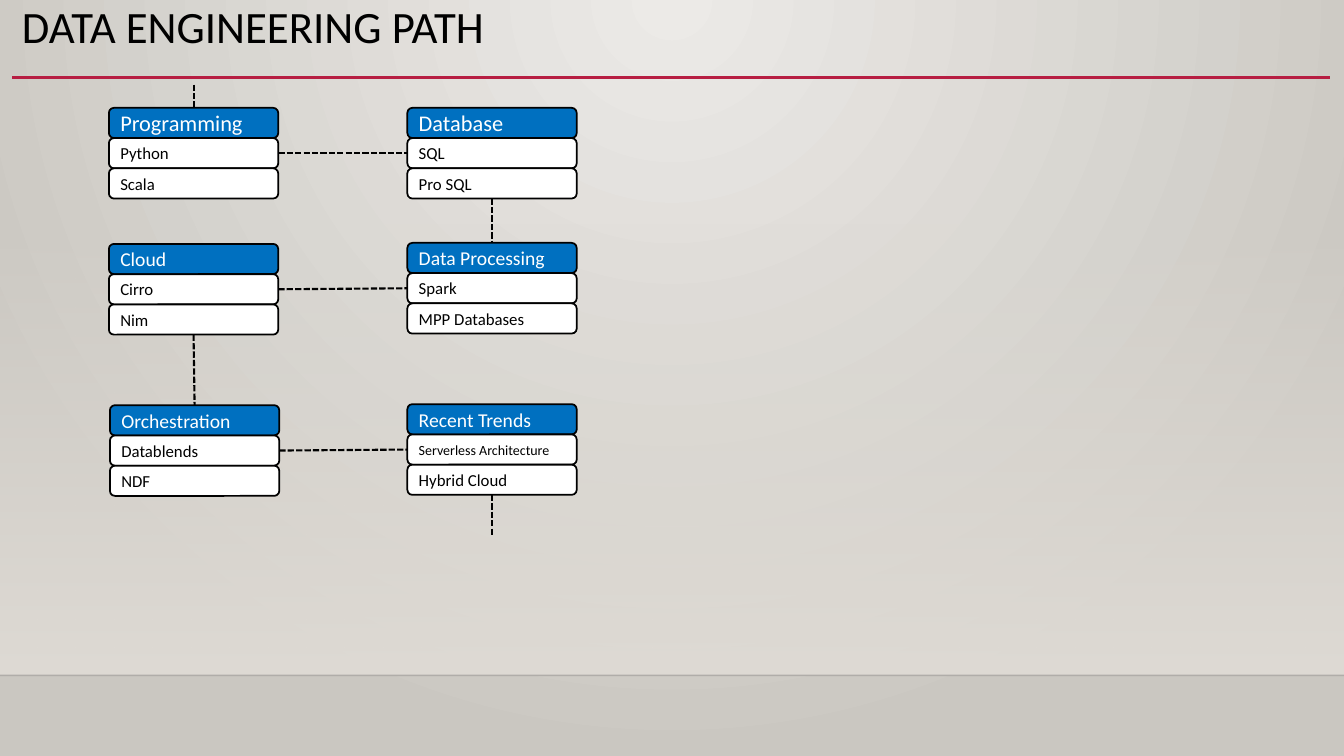
from lxml import etree
from pptx import Presentation
from pptx import util as u
from pptx.dml import color
from pptx.enum import dml, shapes, text
from pptx.oxml import ns

WIDE, HIGH = 13.33, 7.5
CARD, ROW = 1.68, 0.3
FLOOR = 6.7
BLACK, WHITE, BLUE, RED, SAND = "000000", "FFFFFF", "0070C0", "B71E42", "DFDBD5"
TITLE = "DATA ENGINEERING PATH"
CARDS = {
    "code": (1.08, 1.07, [("Programming", 16), ("Python", 12), ("Scala", 12)]),
    "base": (4.04, 1.07, [("Database", 16), ("SQL", 12), ("Pro SQL", 12)]),
    "cloud": (1.08, 2.42, [("Cloud", 14), ("Cirro", 12), ("Nim", 12)]),
    "trend": (4.04, 4.01, [("Recent Trends", 14), ("Serverless Architecture", 10),
                           ("Hybrid Cloud", 12)]),
    "flow": (1.09, 4.02, [("Orchestration", 14), ("Datablends", 12), ("NDF", 12)]),
    "work": (4.04, 2.41, [("Data Processing", 14), ("Spark", 12), ("MPP Databases", 12)]),
}
ACROSS = [("code", "base"), ("cloud", "work"), ("flow", "trend")]
DOWN = [("base", "work"), ("cloud", "flow")]
ENTRY, EXIT = 0.84, 5.32


def rgb(code):
    return color.RGBColor.from_string(code)


def sub(node, tag, **attrs):
    return etree.SubElement(node, ns.qn("a:" + tag), attrs)


def blend(node, stops):
    for child in list(node):
        node.remove(child)
    steps = sub(node, "gsLst")
    for place, code, alpha in stops:
        tint = sub(sub(steps, "gs", pos=str(place * 1000)), "srgbClr", val=code)
        if alpha < 100:
            sub(tint, "alpha", val=str(alpha * 1000))


def line(x1, y1, x2, y2, code, size, dash=None):
    rule = slide.shapes.add_connector(
        shapes.MSO_CONNECTOR.STRAIGHT, *map(u.Inches, (x1, y1, x2, y2)))
    rule.line.color.rgb = rgb(code)
    rule.line.width = u.Pt(size)
    if dash:
        rule.line.dash_style = dash
    sub(rule.element.spPr, "effectLst")
    return rule


def link(x1, y1, x2, y2):
    line(x1, y1, x2, y2, BLACK, 1.5, dml.MSO_LINE.SQUARE_DOT)


def write(frame, words, size, code):
    para = frame.paragraphs[0]
    para.alignment = text.PP_ALIGN.LEFT
    run = para.add_run()
    run.text = words
    run.font.size = u.Pt(size)
    run.font.name = "Calibri"
    run.font.color.rgb = rgb(code)
    return para


def card(left, top, rows):
    group = slide.shapes.add_group_shape()
    for i, (words, size) in enumerate(rows):
        box = group.shapes.add_shape(
            shapes.MSO_SHAPE.ROUNDED_RECTANGLE,
            *map(u.Inches, (left, top + i * ROW, CARD, ROW)))
        box.shadow.inherit = False
        box.fill.solid()
        box.fill.fore_color.rgb = rgb(WHITE if i else BLUE)
        box.line.color.rgb = rgb(BLACK)
        box.line.width = u.Pt(1.25)
        box.text_frame.vertical_anchor = text.MSO_ANCHOR.MIDDLE
        write(box.text_frame, words, size, BLACK if i else WHITE)


def foot(name):
    left, top, rows = CARDS[name]
    return left + CARD / 2, top + len(rows) * ROW


deck = Presentation()
deck.slide_width, deck.slide_height = u.Inches(WIDE), u.Inches(HIGH)
slide = deck.slides.add_slide(deck.slide_layouts[6])

slide.background.fill.gradient()
glow = slide.element.xpath(".//p:bg//a:gradFill")[0]
blend(glow, [(0, "ECEAE7", 100), (100, "CAC7C1", 100)])
sub(sub(glow, "path", path="circle"), "fillToRect", l="43000", t="0", r="43000", b="100000")

wall = slide.shapes.add_shape(
    shapes.MSO_SHAPE.RECTANGLE, *map(u.Inches, (0, 2.21, WIDE, FLOOR - 2.21)))
wall.shadow.inherit = False
wall.line.fill.background()
wall.fill.gradient()
fade = wall.element.xpath(".//a:gradFill")[0]
blend(fade, [(0, SAND, 0), (100, SAND, 100)])
sub(fade, "lin", ang="5400000", scaled="0")

edge = line(0, FLOOR, WIDE, FLOOR, "000001", 1)
sub(edge.element.xpath(".//a:ln//a:srgbClr")[0], "alpha", val="20000")
line(0.12, 0.77, 13.19, 0.77, RED, 2.5)

head = slide.shapes.add_textbox(*map(u.Inches, (0.12, 0, 13.06, 0.67))).text_frame
head.word_wrap = True
write(head, TITLE, 32, BLACK).line_spacing = 0.9

for spot in CARDS.values():
    card(*spot)
for a, b in ACROSS:
    (x1, y1, _), (x2, y2, _) = CARDS[a], CARDS[b]
    link(x1 + CARD, y1 + 1.5 * ROW, x2, y2 + 1.5 * ROW)
for a, b in DOWN:
    link(*foot(a), foot(b)[0], CARDS[b][1])
link(*foot("trend"), foot("trend")[0], EXIT)
link(foot("code")[0], ENTRY, foot("code")[0], CARDS["code"][1])

deck.save("out.pptx")
